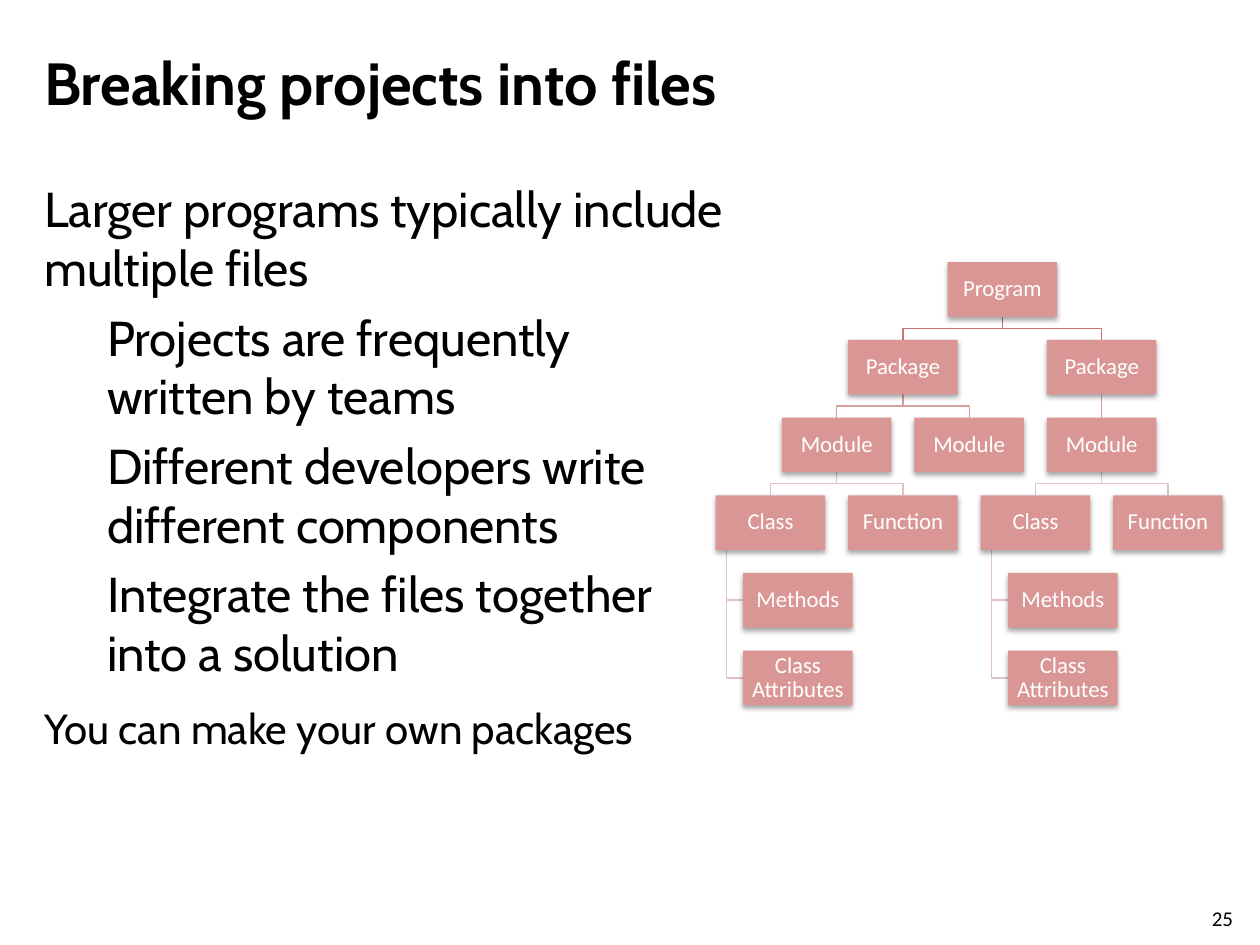
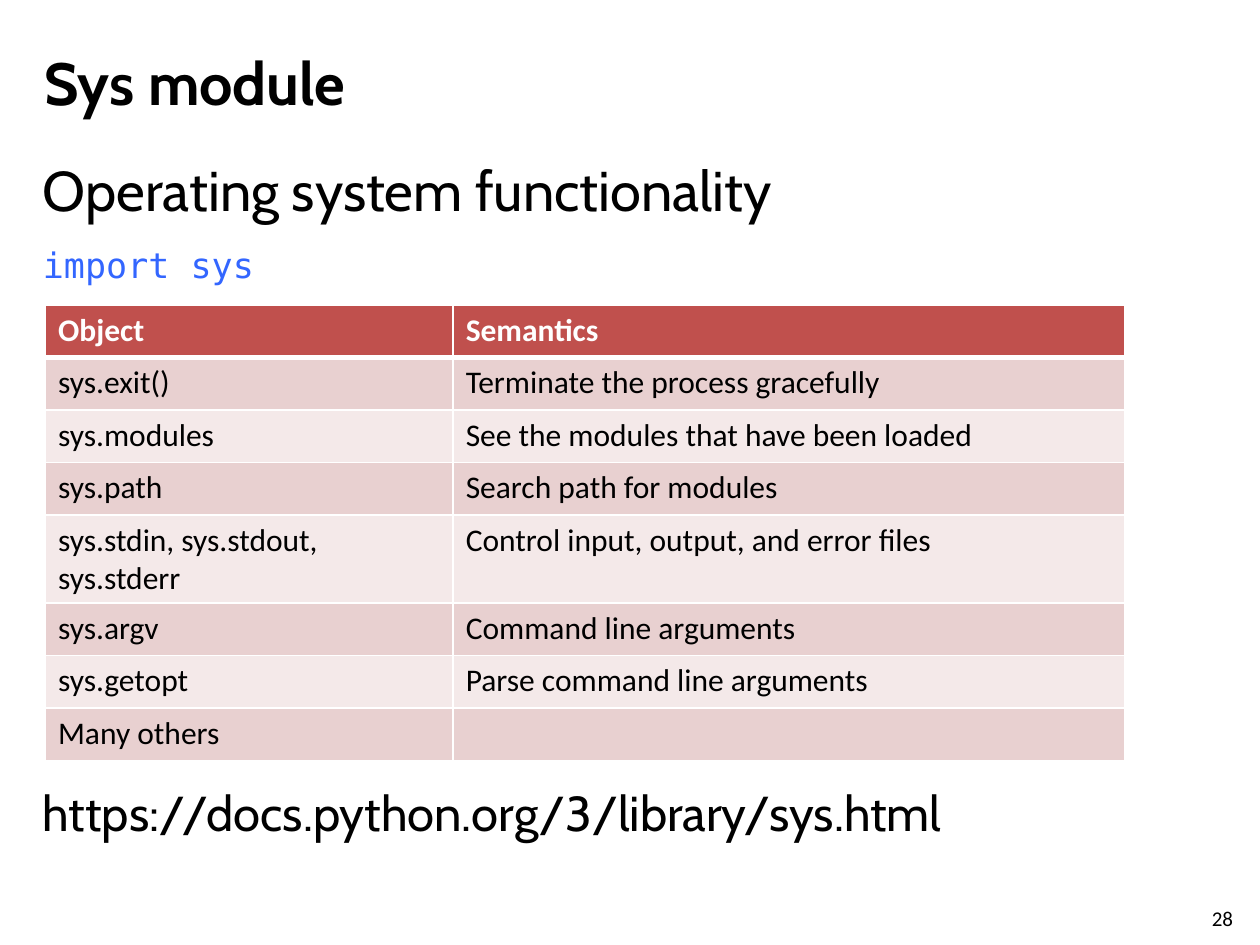
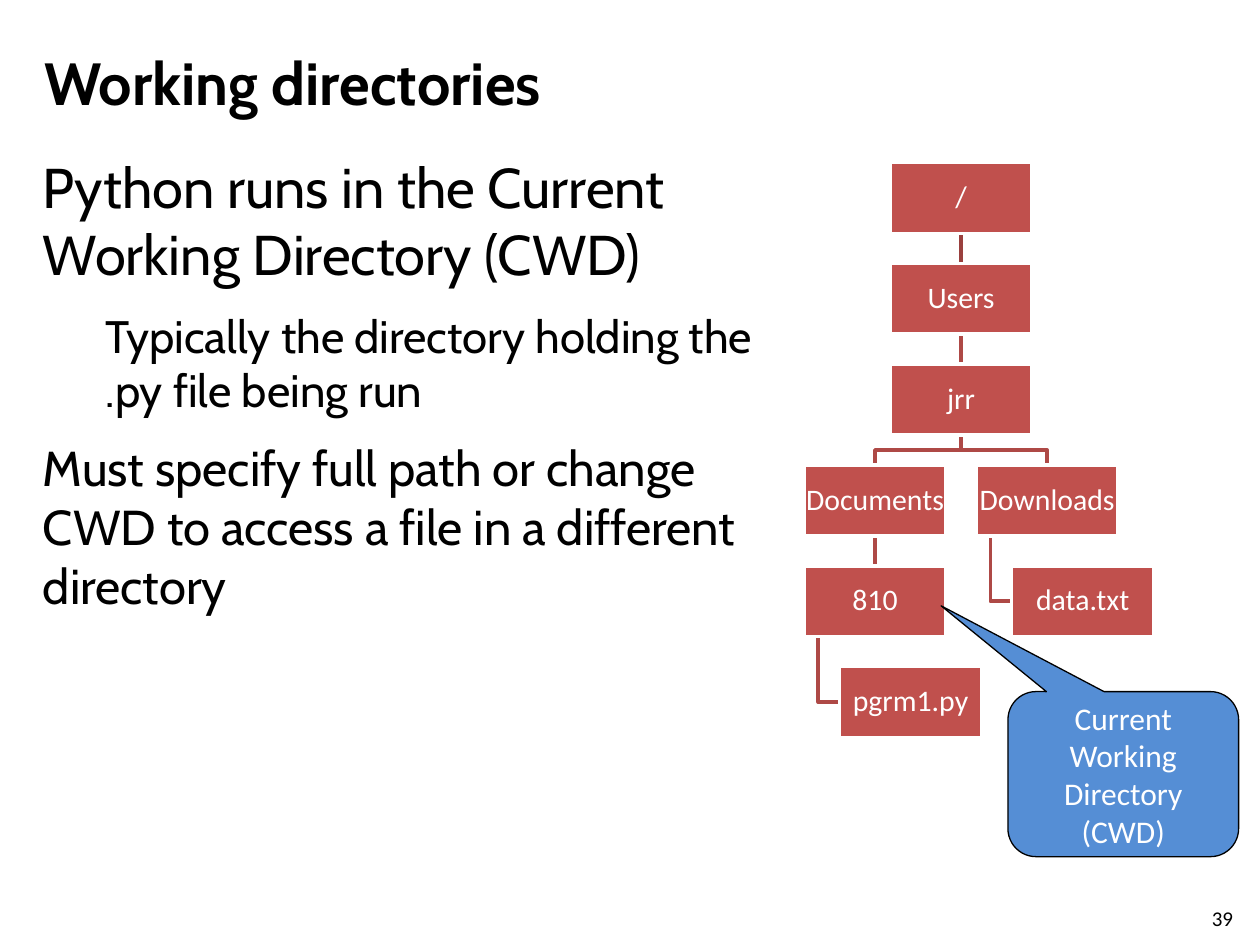
from collections import defaultdict
from dataclasses import dataclass, field

from lxml import etree
from pptx import Presentation
from pptx import util as u
from pptx.dml.color import RGBColor
from pptx.enum import shapes, text
from pptx.oxml import ns

Pt = u.Pt

# Shared look
HEADING_FONT, PLAIN_FONT, CODE_FONT = "Cabin", "Calibri", "DejaVu Sans Mono"
BLACK, WHITE, RED, CODE_BLUE = "000000", "FFFFFF", "C0504D", "3366FF"
BANDS = ("E8D0D0", "F4E9E9")
TITLE_BOX = (18, 21.6, 624, 50.4)
NUMBER_BOX = (685.4, 514, 29, 17.5)


@dataclass
class Node:
    label: str
    children: list = field(default_factory=list)
    hanging: tuple = ()


@dataclass
class TreeStyle:
    width: float
    height: float
    column_pitch: float
    row_pitch: float
    size: float
    fill: str
    outline: str
    link_colours: tuple
    link_width: float
    shadow: bool


# Helpers
def rgb(hex_colour):
    return RGBColor.from_string(hex_colour)


def points(box):
    return [Pt(length) for length in box]


def add_xml(parent, tag, **attributes):
    return etree.SubElement(parent, ns.qn(tag), attributes)


def set_font(paragraph, name, size, colour=BLACK, bold=False):
    font = paragraph.font
    font.name, font.size, font.bold = name, Pt(size), bold
    font.color.rgb = rgb(colour)


def move(shape, box):
    shape.left, shape.top, shape.width, shape.height = points(box)


def add_preset(slide, preset, box, fill, outline, line_width):
    shape = slide.shapes.add_shape(preset, *points(box))
    shape.shadow.inherit = False
    shape.fill.solid()
    shape.fill.fore_color.rgb = rgb(fill)
    if outline:
        shape.line.color.rgb = rgb(outline)
        shape.line.width = Pt(line_width)
    else:
        shape.line.fill.background()
    return shape


def set_label(shape, label, size):
    frame = shape.text_frame
    frame.word_wrap = True
    frame.vertical_anchor = text.MSO_ANCHOR.MIDDLE
    paragraph = frame.paragraphs[0]
    paragraph.text = label
    paragraph.alignment = text.PP_ALIGN.CENTER
    set_font(paragraph, PLAIN_FONT, size, WHITE)
    return paragraph


# Title and page number
def add_titled_slide(deck, title, number):
    slide = deck.slides.add_slide(deck.slide_layouts[1])
    heading = slide.shapes.title
    move(heading, TITLE_BOX)
    heading.text_frame.text = title
    heading.text_frame.auto_size = text.MSO_AUTO_SIZE.NONE
    heading.text_frame.vertical_anchor = text.MSO_ANCHOR.MIDDLE
    paragraph = heading.text_frame.paragraphs[0]
    paragraph.alignment = text.PP_ALIGN.LEFT
    set_font(paragraph, HEADING_FONT, 34, bold=True)

    page = slide.shapes.add_textbox(*points(NUMBER_BOX)).text_frame
    page.text = str(number)
    set_font(page.paragraphs[0], PLAIN_FONT, 12)
    return slide


# Body list; items are (text, level, size, space after)
def fill_body(slide, box, items):
    body = slide.placeholders[1]
    move(body, box)
    frame = body.text_frame
    frame.auto_size = text.MSO_AUTO_SIZE.NONE
    frame.text = "\n".join(item[0] for item in items)
    for paragraph, (_, level, size, after) in zip(frame.paragraphs, items):
        paragraph.level = level
        properties = paragraph._p.get_or_add_pPr()
        properties.set("marL", str(Pt(36 * level)))
        properties.set("indent", "0")
        add_xml(properties, "a:buNone")
        paragraph.space_before = Pt(0)
        paragraph.space_after = Pt(after)
        set_font(paragraph, HEADING_FONT, size)
    return frame.paragraphs


# Hierarchy diagram
def add_soft_shadow(shape):
    effects = shape._element.spPr.find(ns.qn("a:effectLst"))
    shadow = add_xml(effects, "a:outerShdw", blurRad=str(Pt(3.1)), dist=str(Pt(1.8)),
                     dir="5400000", rotWithShape="0")
    add_xml(add_xml(shadow, "a:srgbClr", val=BLACK), "a:alpha", val="35000")


def add_node_box(slide, label, left, top, style):
    box = add_preset(slide, shapes.MSO_SHAPE.RECTANGLE,
                     (left, top, style.width, style.height),
                     style.fill, style.outline, 2)
    if style.shadow:
        add_soft_shadow(box)
    frame = box.text_frame
    frame.margin_left = frame.margin_right = Pt(0.7)
    frame.margin_top = frame.margin_bottom = Pt(0.7)
    set_label(box, label, style.size).line_spacing = 0.9
    return box


def finish_link(slide, link, depth, style):
    """Style a link and put it behind the boxes."""
    colours = style.link_colours
    link.line.color.rgb = rgb(colours[min(depth, len(colours) - 1)])
    link.line.width = Pt(style.link_width)
    slide.shapes._spTree.insert(2, link._element)


def add_bent_link(slide, corners):
    builder = slide.shapes.build_freeform(*corners[0])
    builder.add_line_segments(corners[1:], close=False)
    link = builder.convert_to_shape()
    link.fill.background()
    link.shadow.inherit = False
    return link


def link_below(slide, parent, child):
    start = parent.left + parent.width // 2
    end = child.left + child.width // 2
    bottom = parent.top + parent.height
    if abs(start - end) < Pt(0.1):
        link = slide.shapes.add_connector(shapes.MSO_CONNECTOR.STRAIGHT,
                                          start, bottom, end, child.top)
        link.begin_connect(parent, 2)
        link.end_connect(child, 0)
        add_xml(link._element.spPr, "a:effectLst")
        return link
    middle = (bottom + child.top) // 2
    return add_bent_link(slide, [(start, bottom), (start, middle),
                                 (end, middle), (end, child.top)])


def link_beside(slide, parent, child):
    spine = parent.left + parent.width // 10
    middle = child.top + child.height // 2
    return add_bent_link(slide, [(spine, parent.top + parent.height),
                                 (spine, middle), (child.left, middle)])


def draw_tree(slide, root, left, top, style):
    next_column = defaultdict(float)

    def place(node, depth):
        """Centre a node over its children, or use the next free column."""
        children = [place(child, depth + 1) for child in node.children]
        column = next_column[depth]
        if children:
            column = (children[0][1] + children[-1][1]) / 2
        next_column[depth] = column + 1
        x, y = left + column * style.column_pitch, top + depth * style.row_pitch
        box = add_node_box(slide, node.label, x, y, style)
        for child, _ in children:
            finish_link(slide, link_below(slide, box, child), depth, style)
        for row, label in enumerate(node.hanging, 1):
            leaf = add_node_box(slide, label, x + style.width / 4,
                                y + row * style.row_pitch, style)
            finish_link(slide, link_beside(slide, box, leaf), depth, style)
        return box, column

    place(root, 0)


# Table with a header and banded rows
def set_borders(cell, bottom_width):
    properties = cell._tc.get_or_add_tcPr()
    widths = {"a:lnL": 1, "a:lnR": 1, "a:lnT": 1, "a:lnB": bottom_width}
    for index, (tag, width) in enumerate(widths.items()):
        line = add_xml(properties, tag, w=str(Pt(width)))
        properties.insert(index, line)
        add_xml(add_xml(line, "a:solidFill"), "a:srgbClr", val=WHITE)


def add_banded_table(slide, left, top, widths, row_height, rows):
    table = slide.shapes.add_table(
        len(rows), len(widths),
        *points((left, top, sum(widths), row_height * len(rows)))).table
    for column, width in zip(table.columns, widths):
        column.width = Pt(width)
    for row_index, row in enumerate(rows):
        header = row_index == 0
        for column_index, words in enumerate(row):
            cell = table.cell(row_index, column_index)
            cell.text = words
            cell.fill.solid()
            cell.fill.fore_color.rgb = rgb(RED if header else BANDS[(row_index - 1) % 2])
            set_borders(cell, 3 if header else 1)
            set_font(cell.text_frame.paragraphs[0], PLAIN_FONT, 18,
                     WHITE if header else BLACK, header)


# Slides
def add_files_slide(deck):
    slide = add_titled_slide(deck, "Breaking projects into files", 25)
    fill_body(slide, (18, 98.6, 403.2, 355), [
        ("Larger programs typically include multiple files", 0, 28, 6),
        ("Projects are frequently written by teams", 1, 28, 6),
        ("Different developers write different components", 1, 28, 6),
        ("Integrate the files together into a solution", 1, 28, 12),
        ("You can make your own packages", 0, 24, 12),
    ])

    def full_module():
        return Node("Module", [Node("Class", hanging=("Methods", "Class Attributes")),
                               Node("Function")])

    program = Node("Program", [Node("Package", [full_module(), Node("Module")]),
                               Node("Package", [full_module()])])
    style = TreeStyle(62.6, 31.2, 75.7, 44.4, 13, "D99694", "",
                      ("C77472", "D5A1A0", "E2C2C2"), 0.75, True)
    draw_tree(slide, program, 409, 149.8, style)


def add_sys_slide(deck):
    slide = add_titled_slide(deck, "Sys module", 28)
    _, code, link = fill_body(slide, (17.3, 85, 666, 355), [
        ("Operating system functionality", 0, 32, 12),
        ("import sys", 0, 20, 0),
        ("https://docs.python.org/3/library/sys.html", 0, 28, 12),
    ])
    set_font(code, CODE_FONT, 20, CODE_BLUE)
    link.space_before = Pt(284)  # room for the table
    add_banded_table(slide, 26, 174.2, (233, 384), 30, [
        ("Object", "Semantics"),
        ("sys.exit()", "Terminate the process gracefully"),
        ("sys.modules", "See the modules that have been loaded"),
        ("sys.path", "Search path for modules"),
        ("sys.stdin, sys.stdout, sys.stderr", "Control input, output, and error files"),
        ("sys.argv", "Command line arguments"),
        ("sys.getopt", "Parse command line arguments"),
        ("Many others", ""),
    ])


def add_directories_slide(deck):
    slide = add_titled_slide(deck, "Working directories", 39)
    fill_body(slide, (17.3, 83.5, 425.5, 378.7), [
        ("Python runs in the Current Working Directory (CWD)", 0, 32, 12),
        ("Typically the directory holding the .py file being run", 1, 26, 12),
        ("Must specify full path or change CWD to access a file in a different directory",
         0, 28, 12),
    ])
    home = Node("jrr", [Node("Documents", [Node("810", hanging=("pgrm1.py",))]),
                        Node("Downloads", hanging=("data.txt",))])
    style = TreeStyle(81.2, 40.5, 98.4, 57.6, 17, RED, WHITE,
                      ("9A403E", "AE4946"), 2, False)
    draw_tree(slide, Node("/", [Node("Users", [home])]), 459.4, 92.9, style)

    callout = add_preset(slide, shapes.MSO_SHAPE.ROUNDED_RECTANGULAR_CALLOUT,
                         (576, 395.2, 131.8, 94.3), "558ED5", BLACK, 0.75)
    for index, value in enumerate((-0.79, -1.02, 0.17)):
        callout.adjustments[index] = value
    set_label(callout, "Current Working Directory (CWD)", 18)


def main():
    deck = Presentation()
    deck.slide_width, deck.slide_height = Pt(720), Pt(540)
    add_files_slide(deck)
    add_sys_slide(deck)
    add_directories_slide(deck)
    deck.save("out.pptx")


if __name__ == "__main__":
    main()
